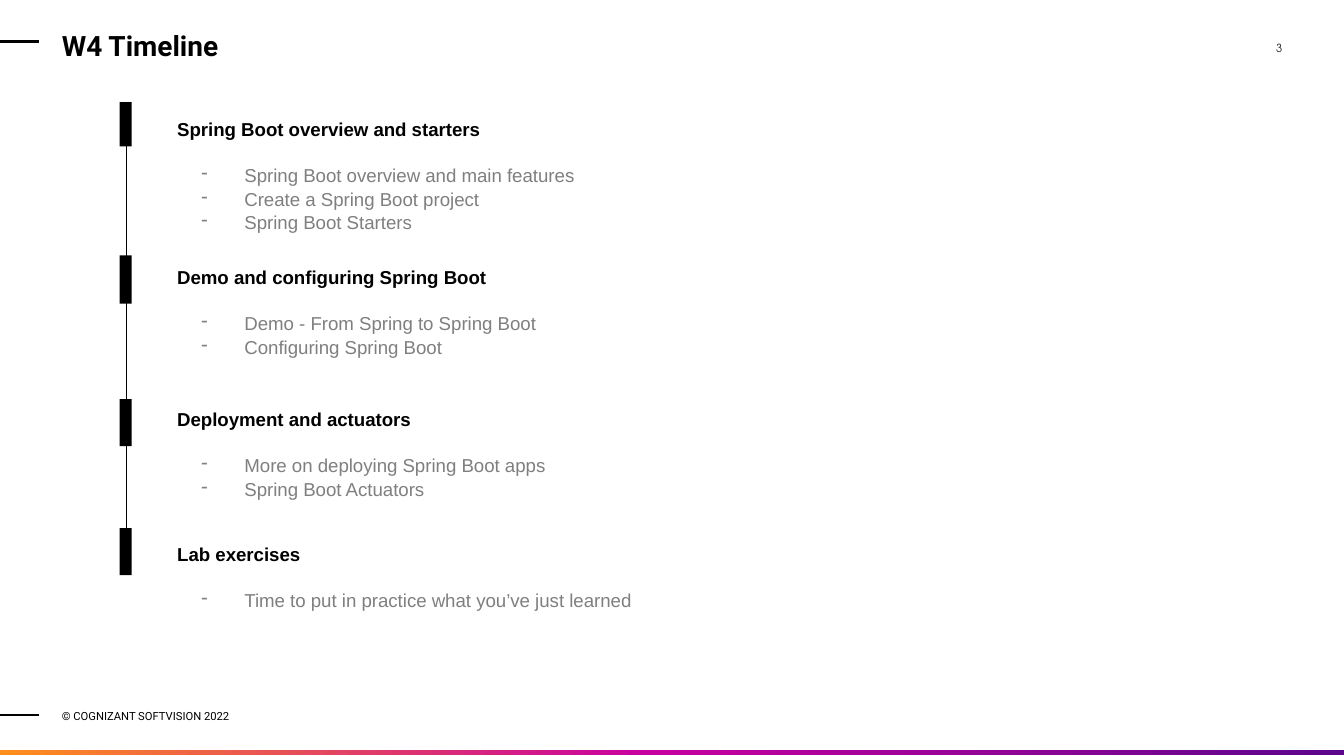
from copy import deepcopy
from dataclasses import dataclass

from lxml import etree
from pptx import Presentation
from pptx.dml.color import RGBColor
from pptx.enum import shapes, text
from pptx.oxml import ns
from pptx.util import Inches, Pt


@dataclass(frozen=True)
class Theme:
    ink: str = "000000"
    soft: str = "7F7F7F"
    page: str = "212121"
    glow: tuple = ((0, "FF8F1C"), (0.48, "C800A1"), (1, "5C068C"))
    head: str = "Roboto"
    body: str = "Arial"
    folio: str = "TeX Gyre Adventor"
    big: float = 15
    mid: float = 10
    tiny: float = 6
    lead: float = 1.05
    gap: float = 12


THEME = Theme()

STEPS = [
    (0.87, 1.03, 0.76, 0.33, "Spring Boot overview and starters",
     ["Spring Boot overview and main features",
      "Create a Spring Boot project", "Spring Boot Starters"]),
    (1.97, 0.71, 1.9, 0.36, "Demo and configuring Spring Boot",
     ["Demo - From Spring to Spring Boot", "Configuring Spring Boot"]),
    (3.03, 0.79, 2.97, 0.35, "Deployment and actuators",
     ["More on deploying Spring Boot apps", "Spring Boot Actuators"]),
    (4.03, 0.71, 3.93, 0.35, "Lab exercises",
     ["Time to put in practice what you’ve just learned"]),
]


def add_frame(slide, box, pad=(0, 0, 0, 0), anchor=text.MSO_ANCHOR.TOP):
    frame = slide.shapes.add_textbox(*map(Inches, box)).text_frame
    frame.word_wrap = True
    frame.vertical_anchor = anchor
    (frame.margin_left, frame.margin_top,
     frame.margin_right, frame.margin_bottom) = map(Inches, pad)
    return frame


def write(frame, words, size, font, color=THEME.ink, bold=False,
          align=text.PP_ALIGN.LEFT, lead=None, after=0, dash=False):
    para = frame.paragraphs[0]
    if para.runs:
        para = frame.add_paragraph()
    if dash:
        props = para._p.get_or_add_pPr()
        props.set("marL", str(Inches(0.5)))
        props.set("indent", str(Inches(-0.32)))
        tint = etree.SubElement(props, ns.qn("a:buClr"))
        etree.SubElement(tint, ns.qn("a:srgbClr"), val=color)
        etree.SubElement(props, ns.qn("a:buChar"), char="-")
    para.alignment = align
    para.space_after = Pt(after)
    if lead:
        para.line_spacing = lead
    run = para.add_run()
    run.text = words
    run.font.size = Pt(size)
    run.font.name = font
    run.font.bold = bold
    run.font.color.rgb = RGBColor.from_string(color)


def add_rule(slide, start, end, width):
    rule = slide.shapes.add_connector(
        shapes.MSO_CONNECTOR.STRAIGHT, *map(Inches, start + end))
    rule.line.color.rgb = RGBColor.from_string(THEME.ink)
    rule.line.width = Pt(width)
    etree.SubElement(rule._element.spPr, ns.qn("a:effectLst"))


def add_bar(slide, box):
    bar = slide.shapes.add_shape(
        shapes.MSO_SHAPE.RECTANGLE, *map(Inches, box))
    bar.shadow.inherit = False
    bar.line.fill.background()
    bar.fill.solid()
    bar.fill.fore_color.rgb = RGBColor.from_string(THEME.ink)
    return bar


def add_header(slide, box):
    left, top, width, height = box
    middle = text.MSO_ANCHOR.MIDDLE
    add_rule(slide, (left, top + 0.31), (left + 0.29, top + 0.31), 1.5)
    title = add_frame(slide, (left + 0.46, top + 0.19, 8.02, 0.29),
                      (0, 0.1, 0.1, 0.1), middle)
    write(title, "W4 Timeline", THEME.big, THEME.head, bold=True)
    folio = add_frame(slide, (left + width - 1.06, top + 0.31, 0.6, 0.43))
    write(folio, "3", THEME.tiny, THEME.folio, THEME.page,
          align=text.PP_ALIGN.RIGHT)


def add_footer(slide, box):
    left, top, width, height = box
    add_rule(slide, (left, top + 0.07), (left + 0.29, top + 0.07), 1.5)
    note = add_frame(slide, (left + 0.46, top, 2.22, 0.16),
                     anchor=text.MSO_ANCHOR.MIDDLE)
    write(note, "© COGNIZANT SOFTVISION 2022", THEME.tiny, THEME.head)
    strip = add_bar(slide, (left, top + height - 0.04, width, 0.04))
    strip.fill.gradient()
    strip.fill.gradient_angle = 0
    stops = strip._element.spPr.find(".//" + ns.qn("a:gsLst"))
    stops.append(deepcopy(stops[0]))
    for stop, (place, color) in zip(strip.fill.gradient_stops, THEME.glow):
        stop.position = place
        stop.color.rgb = RGBColor.from_string(color)


def add_steps(slide, box):
    left, top, width, height = box
    axis = left + 0.05
    add_rule(slide, (axis, top + 0.33), (axis, top + 3.35), 0.75)
    for y, tall, mark, size, head, items in STEPS:
        add_bar(slide, (left, top + mark - 0.76, 0.09, size))
        frame = add_frame(
            slide, (left + 0.33, top + y - 0.76, width - 0.33, tall),
            (0.1, 0, 0, 0.05))
        write(frame, head, THEME.mid, THEME.body, bold=True,
              lead=THEME.lead, after=THEME.gap)
        for item in items:
            write(frame, item, THEME.mid, THEME.body, THEME.soft,
                  lead=THEME.lead, dash=True)


def main():
    deck = Presentation()
    deck.slide_width = Inches(10)
    deck.slide_height = deck.slide_width * 9 // 16
    slide = deck.slides.add_slide(deck.slide_layouts[6])
    add_header(slide, (0, 0, 10, 0.76))
    add_steps(slide, (0.89, 0.76, 4.05, 3.98))
    add_footer(slide, (0, 5.25, 10, 0.37))
    deck.save("out.pptx")


if __name__ == "__main__":
    main()
